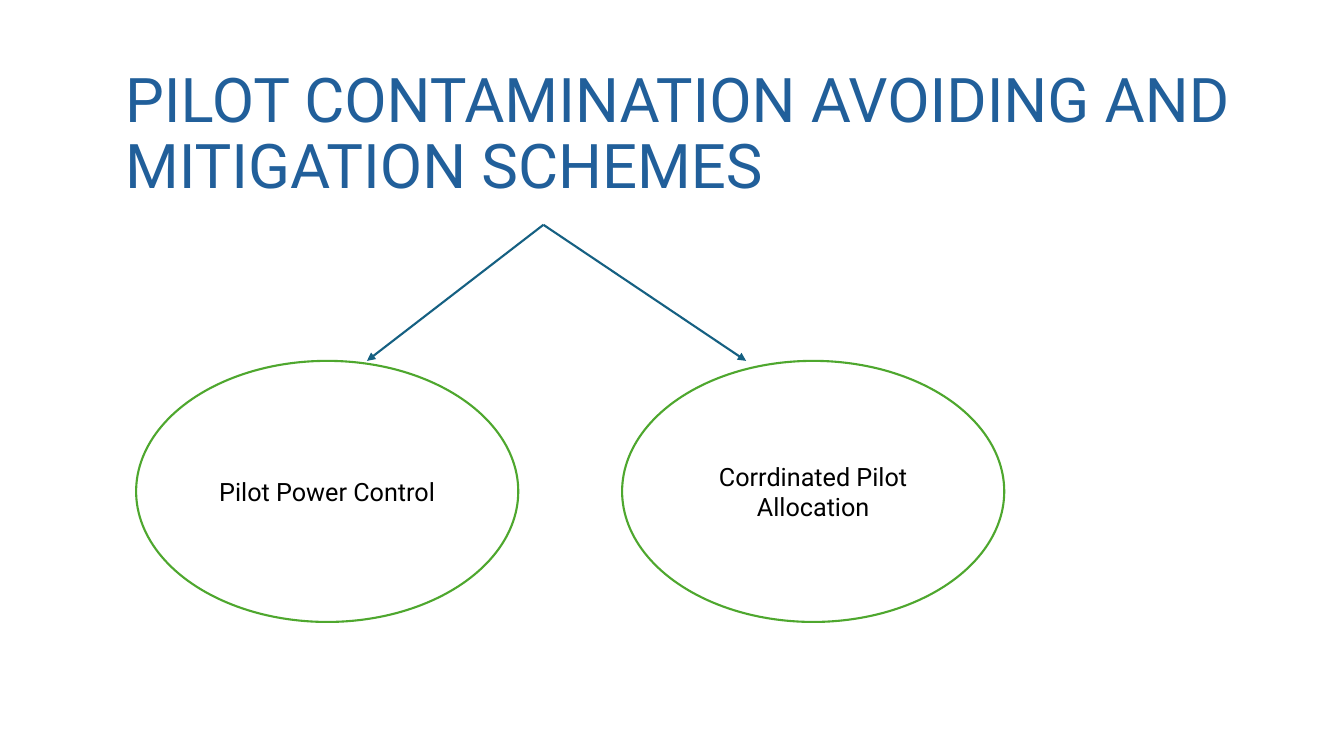
from pptx import Presentation
from pptx.dml.color import RGBColor
from pptx.enum.shapes import MSO_CONNECTOR as Connector, MSO_SHAPE as Shape
from pptx.enum.text import MSO_ANCHOR as Anchor, MSO_AUTO_SIZE as AutoSize, PP_ALIGN as Align
from pptx.oxml.ns import qn
from pptx.util import Inches, Pt
from lxml.etree import SubElement

TITLE = "PILOT CONTAMINATION AVOIDING AND MITIGATION SCHEMES"
# Scheme name, left edge of its ellipse, x of its arrow tip
SCHEMES = [
    ("Pilot Power Control", 1.35, 3.64),
    ("Corrdinated Pilot Allocation", 6.17, 7.4),
]
FORK = (5.39, 2.23)
SCHEME_TOP, SCHEME_WIDTH, SCHEME_HEIGHT = 3.58, 3.79, 2.59
TITLE_BLUE, ARROW_BLUE, GREEN = "215F9A", "156082", "4EA72E"
WHITE, BLACK = "FFFFFF", "000000"


def color(hex_code):
    return RGBColor.from_string(hex_code)


def write(frame, text, size, hex_code, align, spacing):
    frame.word_wrap = True
    frame.auto_size = AutoSize.NONE
    frame.vertical_anchor = Anchor.MIDDLE
    frame.text = text
    paragraph = frame.paragraphs[0]
    paragraph.alignment = align
    paragraph.line_spacing = spacing
    font = paragraph.runs[0].font
    for name, value in {"name": "Roboto", "size": Pt(size)}.items():
        setattr(font, name, value)
    font.color.rgb = color(hex_code)


def set_line(line, hex_code):
    line.color.rgb = color(hex_code)
    line.width = Pt(1.5)


def add_arrow(slide, start, end):
    arrow = slide.shapes.add_connector(
        Connector.STRAIGHT, *(Inches(v) for v in (*start, *end)))
    set_line(arrow.line, ARROW_BLUE)
    properties = arrow._element.spPr
    SubElement(properties.find(qn("a:ln")), qn("a:tailEnd"), type="triangle")
    SubElement(properties, qn("a:effectLst"))


def add_scheme(slide, name, left):
    box = (left, SCHEME_TOP, SCHEME_WIDTH, SCHEME_HEIGHT)
    scheme = slide.shapes.add_shape(Shape.OVAL, *(Inches(v) for v in box))
    scheme.shadow.inherit = False
    scheme.fill.solid()
    scheme.fill.fore_color.rgb = color(WHITE)
    set_line(scheme.line, GREEN)
    write(scheme.text_frame, name, 18, BLACK, Align.CENTER, 1.0)


def main():
    deck = Presentation()
    deck.slide_width, deck.slide_height = Inches(13.33), Inches(7.5)
    slide = deck.slides.add_slide(deck.slide_layouts[5])

    title = slide.shapes.title
    title_box = {"left": 1.14, "top": 0.62, "width": 11.5, "height": 1.45}
    for side, length in title_box.items():
        setattr(title, side, Inches(length))
    write(title.text_frame, TITLE, 44, TITLE_BLUE, Align.LEFT, 0.9)

    for _, _, tip in SCHEMES:
        add_arrow(slide, FORK, (tip, SCHEME_TOP))
    for name, left, _ in SCHEMES:
        add_scheme(slide, name, left)

    deck.save("out.pptx")


if __name__ == "__main__":
    main()
